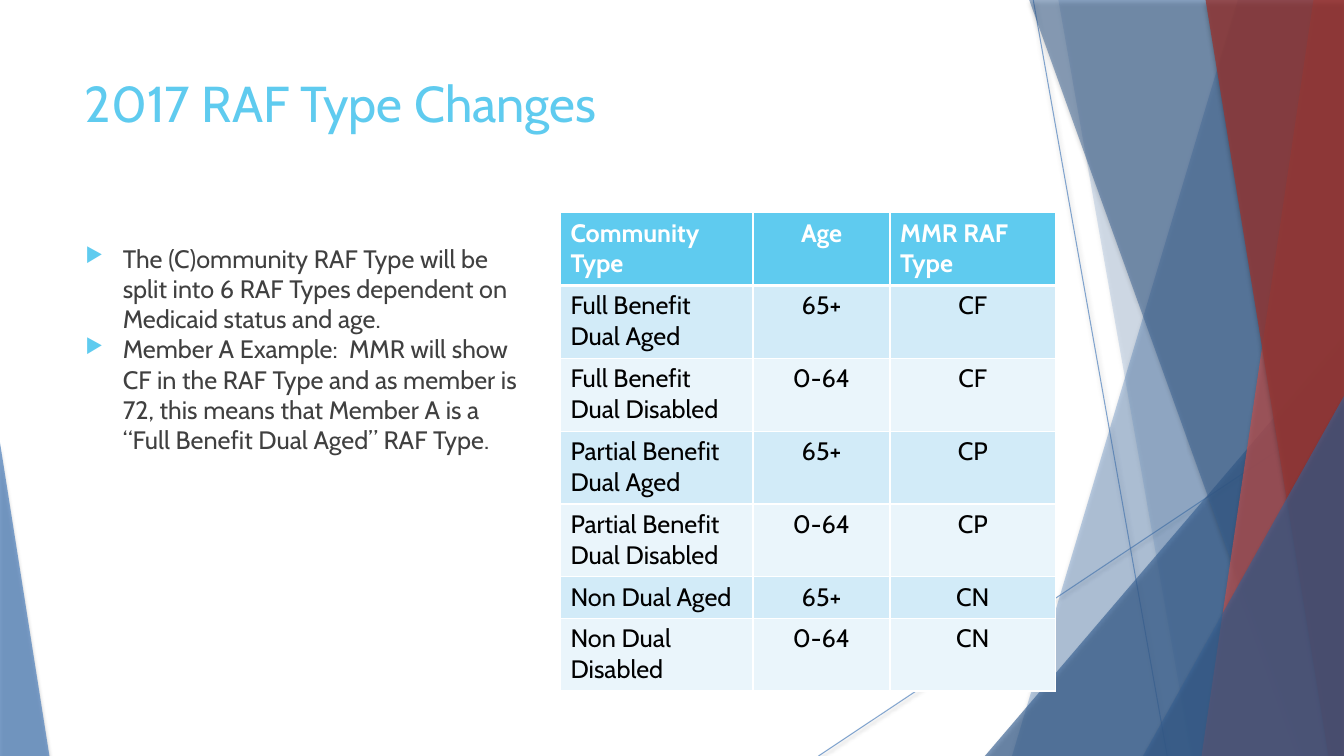
from collections import namedtuple

from lxml import etree
from pptx import Presentation
from pptx.dml.color import RGBColor
from pptx.enum.shapes import MSO_CONNECTOR, MSO_SHAPE
from pptx.enum.text import MSO_ANCHOR, PP_ALIGN
from pptx.oxml.ns import qn
from pptx.util import Inches, Pt

TRIANGLE = MSO_SHAPE.ISOSCELES_TRIANGLE
STRAIGHT = MSO_CONNECTOR.STRAIGHT
TOP = MSO_ANCHOR.TOP
LEFT, CENTER = PP_ALIGN.LEFT, PP_ALIGN.CENTER

FONT = "Cabin"
COLORS = {
    "sky": "5FCBEF", "body": "404040", "white": "FFFFFF", "black": "000000",
    "blue": "4F81BD", "navy": "376092", "red": "C0504D", "maroon": "953735",
    "band": "D2EBF8", "band_light": "EAF5FB",
}
WIDTH, HEIGHT = Inches(13.33), Inches(7.5)

Box = namedtuple("Box", "left top width height")


def area(left, top, width, height):
    """Box from percentages of the slide's size."""
    return Box(int(WIDTH * left / 100), int(HEIGHT * top / 100),
               int(WIDTH * width / 100), int(HEIGHT * height / 100))


def point(box, x, y):
    """Position at percentages of a box."""
    return box.left + int(box.width * x / 100), box.top + int(box.height * y / 100)


def rgb(name):
    return RGBColor.from_string(COLORS[name])


def add_xml(parent, tag, **attributes):
    return etree.SubElement(parent, qn(tag), attributes)


def write(paragraph, text, size=18, color="black", bold=False, align=LEFT):
    paragraph.alignment = align
    run = paragraph.add_run()
    run.text = text
    run.font.name, run.font.size, run.font.bold = FONT, Pt(size), bold
    run.font.color.rgb = rgb(color)


def add_bullet(paragraph):
    properties = paragraph._p.get_or_add_pPr()
    properties.set("marL", str(Inches(0.38)))
    properties.set("indent", str(Inches(-0.37)))
    add_xml(add_xml(properties, "a:buClr"), "a:srgbClr", val=COLORS["sky"])
    add_xml(properties, "a:buSzPct", val="80000")
    add_xml(properties, "a:buChar", char="\u25b6")


def set_alpha(element, percent):
    for color in element.iter(qn("a:srgbClr")):
        add_xml(color, "a:alpha", val=str(percent * 1000))


def add_shadow(shape, blur, distance, percent):
    effects = add_xml(shape._element.spPr, "a:effectLst")
    shadow = add_xml(effects, "a:outerShdw", blurRad=str(Pt(blur)),
                     dist=str(Pt(distance)), dir="5400000", rotWithShape="0")
    add_xml(shadow, "a:srgbClr", val=COLORS["black"])
    set_alpha(shadow, percent)


def paint_facet(shape, color, alpha):
    shape.fill.solid()
    shape.fill.fore_color.rgb = rgb(color)
    set_alpha(shape._element, alpha)
    shape.line.fill.background()
    add_shadow(shape, 3, 2, 35)


def add_ray(shapes, box, start, end):
    ray = shapes.add_connector(STRAIGHT, *point(box, *start), *point(box, *end))
    ray.line.color.rgb = rgb("blue")
    ray.line.width = Pt(0.74)
    set_alpha(ray._element, 70)
    add_shadow(ray, 3.1, 1.6, 38)


def add_shard(shapes, box, top_x, bottom_x, color, alpha):
    """Full-height facet between a slanted edge and the right side."""
    builder = shapes.build_freeform(*point(box, top_x, 0))
    corners = (100, 0), (100, 100), (bottom_x, 100)
    builder.add_line_segments([point(box, *corner) for corner in corners])
    paint_facet(builder.convert_to_shape(), color, alpha)


def add_wedge(shapes, box, left, right, top, apex, color, alpha):
    """Triangle standing on the bottom edge."""
    x, y = point(box, left, top)
    end_x, end_y = point(box, right, 100)
    wedge = shapes.add_shape(TRIANGLE, x, y, end_x - x, end_y - y)
    wedge.adjustments[0] = apex
    paint_facet(wedge, color, alpha)


def add_backdrop(shapes, box):
    add_ray(shapes, box, (76.88, 0), (86.85, 100))
    add_ray(shapes, box, (100, 53.73), (60.9, 100))
    add_shard(shapes, box, 92.1, 75.3, "blue", 36)
    add_shard(shapes, box, 78.75, 88.65, "blue", 20)
    add_wedge(shapes, box, 73.28, 100, 44.4, 1, "navy", 66)
    add_shard(shapes, box, 76.58, 96.83, "navy", 50)
    add_shard(shapes, box, 97.73, 89.4, "red", 70)
    add_shard(shapes, box, 89.7, 98.85, "maroon", 80)
    add_wedge(shapes, box, 85.05, 100, 52.4, 1, "navy", 66)
    add_wedge(shapes, box, 0, 3.68, 58.53, 0, "blue", 70)


def place_title(title, box, text):
    title.left, title.top, title.width, title.height = box
    title.text_frame.vertical_anchor = TOP
    title.text_frame.word_wrap = True
    write(title.text_frame.paragraphs[0], text, size=36, color="sky")


def add_explanation(shapes, box, points):
    frame = shapes.add_textbox(*box).text_frame
    frame.word_wrap = True
    for index, text in enumerate(points):
        paragraph = frame.add_paragraph() if index else frame.paragraphs[0]
        write(paragraph, text, color="body")
        add_bullet(paragraph)


def format_cell(cell, fill, bottom_width):
    properties = cell._tc.get_or_add_tcPr()
    for side in "LRTB":
        width = bottom_width if side == "B" else 0.96
        border = add_xml(properties, "a:ln" + side, w=str(Pt(width)))
        add_xml(add_xml(border, "a:solidFill"), "a:srgbClr", val=COLORS["white"])
    cell.fill.solid()
    cell.fill.fore_color.rgb = rgb(fill)


def add_raf_table(shapes, box, rows, column_shares, row_shares):
    table = shapes.add_table(len(rows), len(column_shares), *box).table
    for column, share in zip(table.columns, column_shares):
        column.width = int(box.width * share / sum(column_shares))
    for row, share in zip(table.rows, row_shares):
        row.height = int(box.height * share / sum(row_shares))
    for r, values in enumerate(rows):
        header = r == 0
        fill = "sky" if header else "band" if r % 2 else "band_light"
        for c, text in enumerate(values):
            cell = table.cell(r, c)
            format_cell(cell, fill, 3 if header else 0.96)
            centered = c == 1 or (c == 2 and not header)
            write(cell.text_frame.paragraphs[0], text, bold=header,
                  color="white" if header else "black",
                  align=CENTER if centered else LEFT)


EXPLANATION = [
    "The (C)ommunity RAF Type will be split into 6 RAF Types dependent on "
    "Medicaid status and age.",
    "Member A Example:  MMR will show CF in the RAF Type and as member is 72, "
    "this means that Member A is a \u201cFull Benefit Dual Aged\u201d RAF Type.",
]
RAF_TYPES = [
    ("Community Type", "Age", "MMR RAF Type"),
    ("Full Benefit Dual Aged", "65+", "CF"),
    ("Full Benefit Dual Disabled", "0-64", "CF"),
    ("Partial Benefit Dual Aged", "65+", "CP"),
    ("Partial Benefit Dual Disabled", "0-64", "CP"),
    ("Non Dual Aged", "65+", "CN"),
    ("Non Dual Disabled", "0-64", "CN"),
]

deck = Presentation()
deck.slide_width, deck.slide_height = WIDTH, HEIGHT
slide = deck.slides.add_slide(deck.slide_layouts.get_by_name("Title Only"))

add_backdrop(slide.shapes, area(0, 0, 100, 100))
place_title(slide.shapes.title, area(5.55, 8.93, 70.5, 19.2), "2017 RAF Type Changes")
add_explanation(slide.shapes, area(5.55, 31.47, 34.35, 56.53), EXPLANATION)
add_raf_table(slide.shapes, area(41.7, 28.13, 36.83, 63.3), RAF_TYPES,
              column_shares=(1.91, 1.36, 1.64),
              row_shares=(0.72, 0.72, 0.72, 0.72, 0.72, 0.41, 0.72))

deck.save("out.pptx")
